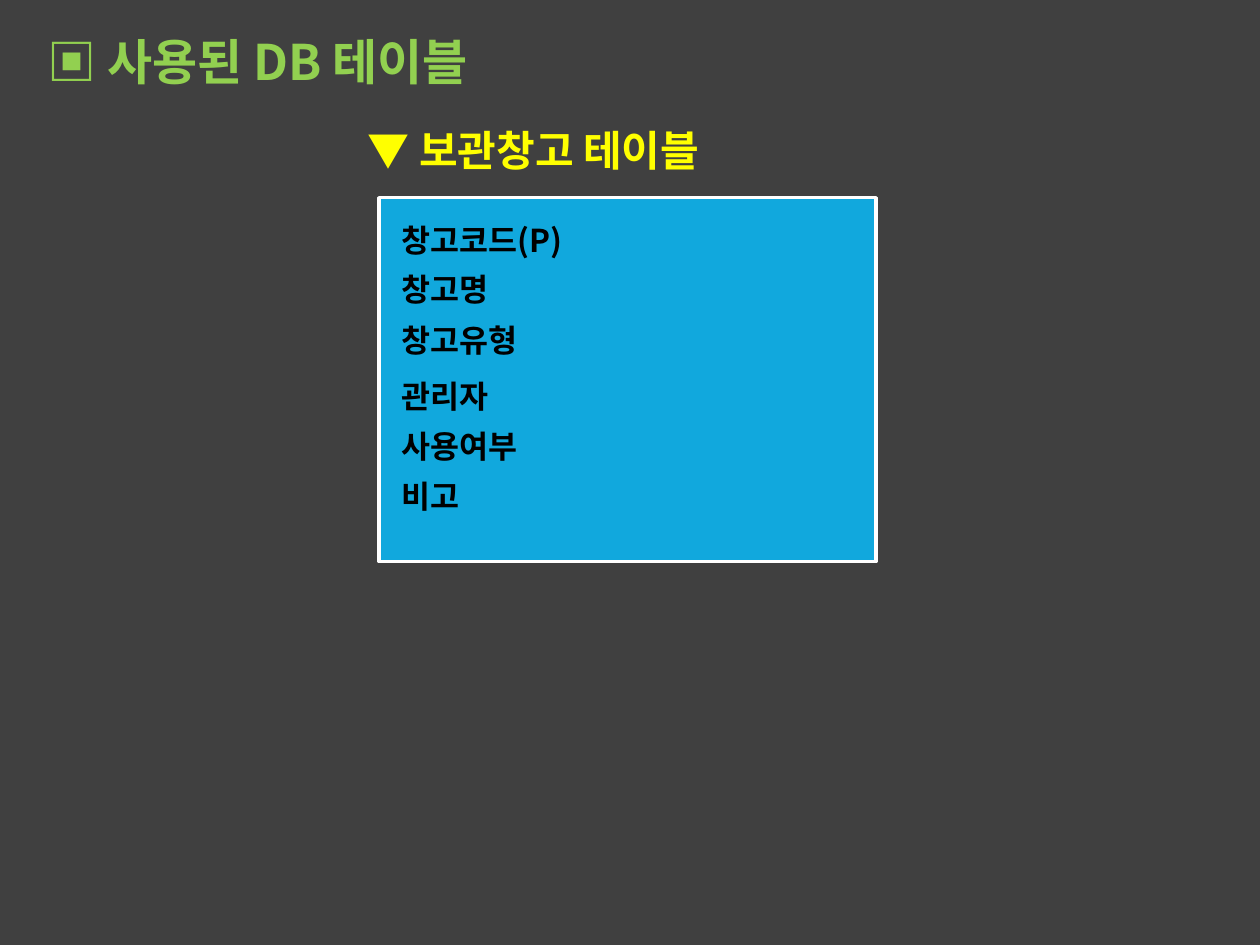
from dataclasses import dataclass

from lxml.etree import SubElement
from pptx import Presentation
from pptx.dml.color import RGBColor
from pptx.enum.shapes import MSO_SHAPE
from pptx.enum.text import MSO_AUTO_SIZE
from pptx.oxml.ns import qn
from pptx.slide import Slide
from pptx.util import Pt

FONT = "Noto Sans CJK KR"
CHARCOAL = RGBColor(0x40, 0x40, 0x40)
GREEN = RGBColor(0x92, 0xD0, 0x50)
YELLOW = RGBColor(0xFF, 0xFF, 0x00)
BLUE = RGBColor(0x11, 0xA8, 0xDD)
WHITE = RGBColor(0xFF, 0xFF, 0xFF)
BLACK = RGBColor(0x00, 0x00, 0x00)

PAGE_WIDTH, PAGE_HEIGHT = 720, 540
FIELD_LEFT, FIELD_HEIGHT, FIELD_SIZE = 222.5, 29, 18


@dataclass(frozen=True)
class Area:
    left: float
    top: float
    width: float
    height: float

    def lengths(self) -> tuple[Pt, Pt, Pt, Pt]:
        return Pt(self.left), Pt(self.top), Pt(self.width), Pt(self.height)


@dataclass(frozen=True)
class Label:
    text: str
    area: Area
    size: float
    color: RGBColor


@dataclass(frozen=True)
class Field:
    name: str
    top: float
    width: float = 113


HEADINGS = (
    Label("▣ 사용된 DB 테이블", Area(20, 14.5, 592.5, 41), 28, GREEN),
    Label("▼ 보관창고 테이블", Area(203, 67.5, 241, 36), 24, YELLOW),
)
FIELDS = (
    Field("창고코드(P)", 122.5, 188),
    Field("창고명", 150.5),
    Field("창고유형", 180),
    Field("관리자", 211.75),
    Field("사용여부", 240.5),
    Field("비고", 269.25),
)


def add_panel(page: Slide, area: Area, fill: RGBColor, line: RGBColor | None = None) -> None:
    panel = page.shapes.add_shape(MSO_SHAPE.RECTANGLE, *area.lengths())
    panel.shadow.inherit = False
    panel.fill.solid()
    panel.fill.fore_color.rgb = fill
    if line is None:
        panel.line.fill.background()
    else:
        panel.line.color.rgb = line
        panel.line.width = Pt(2)


def add_label(page: Slide, label: Label) -> None:
    box = page.shapes.add_textbox(*label.area.lengths())
    frame = box.text_frame
    frame.text = label.text
    frame.word_wrap = True
    frame.auto_size = MSO_AUTO_SIZE.SHAPE_TO_FIT_TEXT
    span = frame.paragraphs[0].runs[0]
    span.font.name = FONT
    span.font.size = Pt(label.size)
    span.font.bold = True
    span.font.color.rgb = label.color
    SubElement(span.font._element, qn("a:ea"), typeface=FONT)


def main() -> None:
    deck = Presentation()
    deck.slide_width, deck.slide_height = Pt(PAGE_WIDTH), Pt(PAGE_HEIGHT)
    page = deck.slides.add_slide(deck.slide_layouts[6])

    add_panel(page, Area(0, 0, PAGE_WIDTH, PAGE_HEIGHT), CHARCOAL)
    for heading in HEADINGS:
        add_label(page, heading)

    add_panel(page, Area(216.75, 113, 283.75, 208), BLUE, WHITE)
    for field in FIELDS:
        area = Area(FIELD_LEFT, field.top, field.width, FIELD_HEIGHT)
        add_label(page, Label(field.name, area, FIELD_SIZE, BLACK))

    deck.save("out.pptx")


if __name__ == "__main__":
    main()
